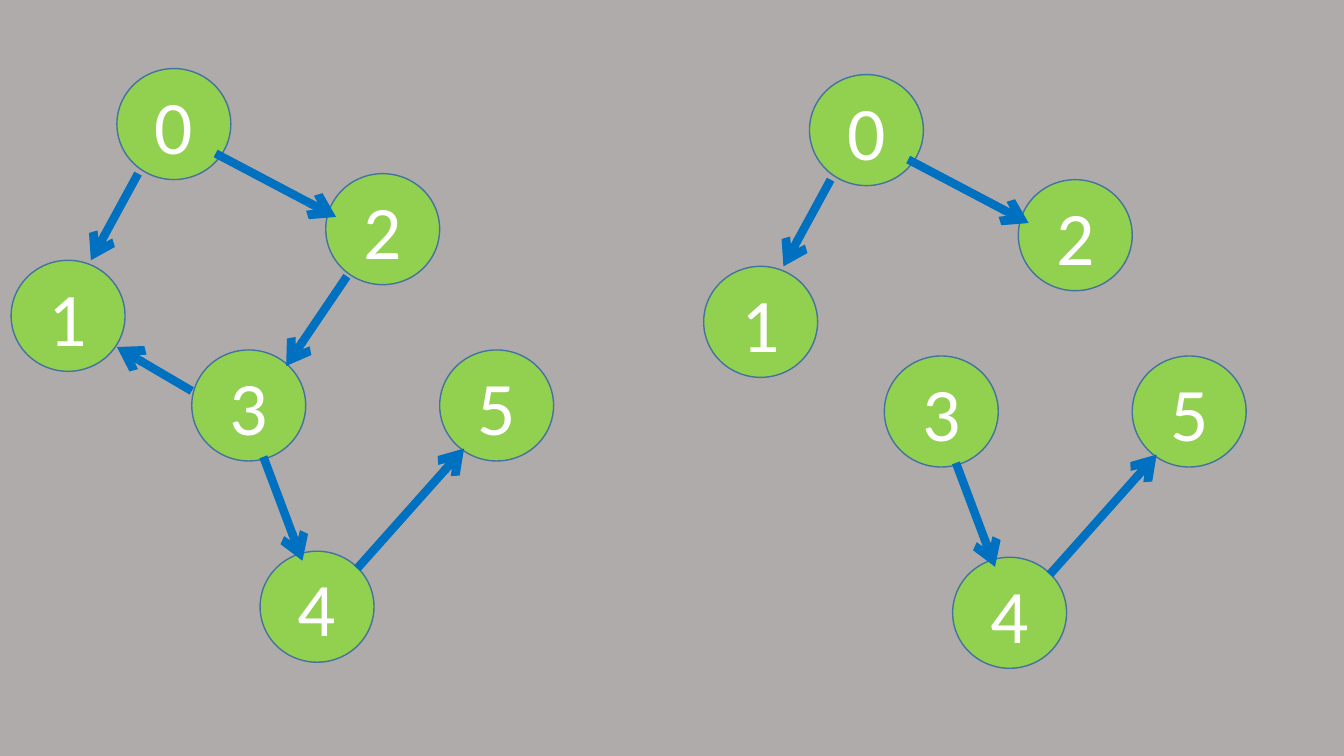
import collections

import pptx
import pptx.dml.color
import pptx.enum.shapes
import pptx.enum.text
import pptx.util
from lxml import etree
from pptx.oxml import ns

COLOURS = {"background": "AFABAB", "node": "92D050", "outline": "43739E",
           "edge": "0070C0", "label": "FFFFFF"}
Box = collections.namedtuple("Box", "left top width height")

# Node corners and edge ends are percentages of the graph's box.
NODE_SIZE = (21, 18.7)
NODES = {"0": (19.5, 0), "1": (0, 32.3), "2": (58, 17.7),
         "3": (33.3, 47.4), "4": (45.9, 81.3), "5": (79, 47.4)}
EDGES = {"01": ((23.4, 17.7), (14.7, 32.3)),
         "02": ((37.7, 14.3), (59.9, 25)),
         "31": ((33.3, 54.3), (19.5, 46.9)),
         "23": ((61.9, 35), (50.7, 50.1)),
         "34": ((46.5, 65.4), (53.7, 82.9)),
         "45": ((63.8, 84.2), (83.5, 64))}


def colour(name):
    """Return the named colour."""
    return pptx.dml.color.RGBColor.from_string(COLOURS[name])


def share(box, across, down):
    """Turn percentages of a box into lengths."""
    return int(box.width * across / 100), int(box.height * down / 100)


def point(box, across, down):
    """Turn percentages of a box into a position on the slide."""
    x, y = share(box, across, down)
    return box.left + x, box.top + y


def add_node(group, box, label):
    """Draw one labelled circle of the graph."""
    node = group.shapes.add_shape(
        pptx.enum.shapes.MSO_SHAPE.OVAL,
        *point(box, *NODES[label]), *share(box, *NODE_SIZE))
    node.shadow.inherit = False
    node.fill.solid()
    node.fill.fore_color.rgb = colour("node")
    node.line.color.rgb = colour("outline")
    node.line.width = pptx.util.Pt(1)
    node.text_frame.vertical_anchor = pptx.enum.text.MSO_ANCHOR.MIDDLE
    para = node.text_frame.paragraphs[0]
    para.text = label
    para.alignment = pptx.enum.text.PP_ALIGN.CENTER
    para.font.name = "Calibri"
    para.font.size = pptx.util.Pt(54)
    para.font.color.rgb = colour("label")


def add_edge(group, box, start, end):
    """Draw one arrow between two points of the graph."""
    edge = group.shapes.add_connector(
        pptx.enum.shapes.MSO_CONNECTOR.STRAIGHT,
        *point(box, *start), *point(box, *end))
    edge.line.color.rgb = colour("edge")
    edge.line.width = pptx.util.Pt(6)
    etree.SubElement(edge.line._get_or_add_ln(), ns.qn("a:tailEnd"), type="arrow")
    etree.SubElement(edge._element.spPr, ns.qn("a:effectLst"))


def add_graph(page, box, edges):
    """Draw all nodes and the chosen edges as one group in a box."""
    group = page.shapes.add_group_shape()
    for label in NODES:
        add_node(group, box, label)
    for name in edges:
        add_edge(group, box, *EDGES[name])


def add_graph_page(deck):
    """Add the slide that sets the full graph beside its two components."""
    page = deck.slides.add_slide(deck.slide_layouts[6])
    page.background.fill.solid()
    page.background.fill.fore_color.rgb = colour("background")
    slide = Box(0, 0, deck.slide_width, deck.slide_height)
    size = share(slide, 40.36, 78.53)
    add_graph(page, Box(*point(slide, 0.83, 9.07), *size), EDGES)
    add_graph(page, Box(*point(slide, 52.36, 9.87), *size),
              ["01", "02", "34", "45"])


deck = pptx.Presentation()
deck.slide_width = pptx.util.Inches(13.33)
deck.slide_height = pptx.util.Inches(7.5)
add_graph_page(deck)
deck.save("out.pptx")
